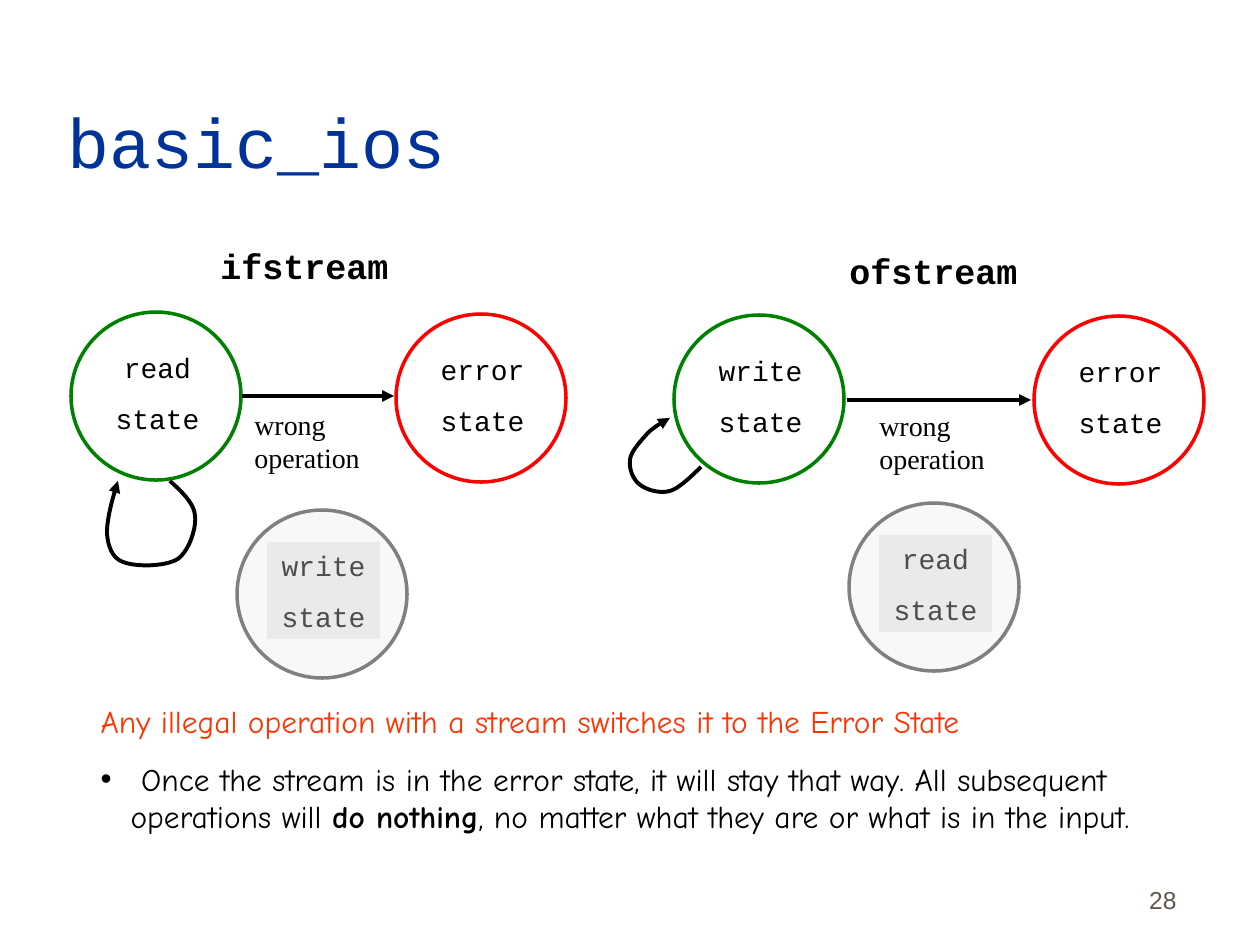
import lxml.etree
import pptx
import pptx.dml.color
import pptx.enum.shapes
import pptx.enum.text
import pptx.oxml.ns
import pptx.util

SCALE = 914400 / 126  # EMU in one px
COLORS = {
    "title": "003399", "ink": "000000", "good": "008000", "bad": "FF0000",
    "muted": "808080", "shade": "EAEAEA", "warning": "FF3300", "number": "5E574E",
}
CODE, LABEL, BODY, NUMBER = "Courier New", "Times New Roman", "Comic Neue", "Arial"
CIRCLE_WIDTH, CIRCLE_HEIGHT = 170, 168
LEFT = pptx.enum.text.PP_ALIGN.LEFT
CENTER = pptx.enum.text.PP_ALIGN.CENTER
RIGHT = pptx.enum.text.PP_ALIGN.RIGHT
TOP = pptx.enum.text.MSO_ANCHOR.TOP
BOTTOM = pptx.enum.text.MSO_ANCHOR.BOTTOM


def px(*values):
    return [pptx.util.Emu(round(value * SCALE)) for value in values]


def color(name):
    return pptx.dml.color.RGBColor.from_string(COLORS[name])


def add_element(parent, tag, **attributes):
    return lxml.etree.SubElement(parent, pptx.oxml.ns.qn(tag), attributes)


def format_font(font, face, size, ink, bold=False):
    font.name, font.size, font.bold = face, pptx.util.Pt(size), bold
    font.color.rgb = color(ink)


def write(shape, lines, face, size, ink="ink", align=LEFT, anchor=TOP, bold=False, gap=0):
    """Fill a shape with one paragraph per line."""
    frame = shape.text_frame
    frame.word_wrap, frame.vertical_anchor = True, anchor
    frame.auto_size = pptx.enum.text.MSO_AUTO_SIZE.NONE
    frame.text = "\n".join(lines)
    for index, para in enumerate(frame.paragraphs):
        para.alignment = align
        para.space_before = pptx.util.Pt(gap if index else 0)
        for span in para.runs:
            format_font(span.font, face, size, ink, bold)


def add_text(page, place, lines, *style, **options):
    box = page.shapes.add_textbox(*px(*place))
    write(box, lines, *style, **options)


def add_state(page, left, top, name, outline, shaded=False):
    """A circle around two centred words; a shaded one is out of use."""
    rectangle = pptx.enum.shapes.MSO_SHAPE.RECTANGLE
    label = page.shapes.add_shape(rectangle, *px(left + 30, top + 32, 113, 97))
    label.shadow.inherit = False
    label.line.fill.background()
    label.fill.background()
    write(label, [name, "state"], CODE, 16, align=CENTER, gap=10)

    oval = pptx.enum.shapes.MSO_SHAPE.OVAL
    circle = page.shapes.add_shape(oval, *px(left, top, CIRCLE_WIDTH, CIRCLE_HEIGHT))
    circle.shadow.inherit = False
    circle.line.color.rgb = color(outline)
    circle.line.width = pptx.util.Pt(2)
    circle.fill.background()

    if shaded:
        for shape in (label, circle):
            shape.fill.solid()
            shape.fill.fore_color.rgb = color("shade")
        shade = circle.fill._xPr.find(".//" + pptx.oxml.ns.qn("a:srgbClr"))
        add_element(shade, "a:alpha", val="33000")


def format_arrow(line):
    line.color.rgb = color("ink")
    line.width = pptx.util.Pt(2.25)
    add_element(line._get_or_add_ln(), "a:tailEnd", type="triangle")


def add_arrow(page, start, end, y):
    straight = pptx.enum.shapes.MSO_CONNECTOR.STRAIGHT
    arrow = page.shapes.add_connector(straight, *px(start, y, end, y))
    format_arrow(arrow.line)
    add_element(arrow._element.spPr, "a:effectLst")


def curve_points(knots, steps=10):
    """Points along joined cubic curves, three knots for each after the first."""
    points = []
    for first in range(0, len(knots) - 1, 3):
        a, b, c, d = knots[first:first + 4]
        for step in range(1, steps + 1):
            t = step / steps
            u = 1 - t
            weights = u ** 3, 3 * u * u * t, 3 * u * t * t, t ** 3
            points.append(tuple(
                sum(w * knot[axis] for w, knot in zip(weights, (a, b, c, d)))
                for axis in (0, 1)))
    return points


def add_loop(page, knots):
    builder = page.shapes.build_freeform(*px(*knots[0]), scale=1.0)
    builder.add_line_segments([px(*point) for point in curve_points(knots)], close=False)
    loop = builder.convert_to_shape()
    loop.shadow.inherit = False
    loop.fill.background()
    format_arrow(loop.line)


def place_holder(holder, place):
    holder.left, holder.top, holder.width, holder.height = px(*place)


def fill_body(body):
    """A coloured statement, then one bullet with a bold phrase."""
    place_holder(body, (88, 696, 1060, 146))
    write(body, ["Any illegal operation with a stream switches it to the Error State", ""],
          BODY, 18, "warning")
    statement, bullet = body.text_frame.paragraphs
    properties = statement._p.get_or_add_pPr()
    properties.set("marL", "0")
    properties.set("indent", "0")
    add_element(properties, "a:buNone")

    properties = bullet._p.get_or_add_pPr()
    indent = px(30)[0]
    properties.set("marL", str(indent))
    properties.set("indent", str(-indent))
    add_element(add_element(properties, "a:buClr"), "a:srgbClr", val=COLORS["ink"])
    add_element(properties, "a:buChar", char="•")
    bullet.space_before = pptx.util.Pt(11.2)
    for words, bold in (
        (" Once the stream is in the error state, it will stay that way. "
         "All subsequent operations will ", False),
        ("do nothing", True),
        (", no matter what they are or what is in the input.", False),
    ):
        span = bullet.add_run()
        span.text = words
        format_font(span.font, BODY, 18, "ink", bold)


def main():
    deck = pptx.Presentation()
    deck.slide_width, deck.slide_height = px(1260, 945)
    page = deck.slides.add_slide(deck.slide_layouts[1])

    # Title, closing text and page number
    title = page.shapes.title
    place_holder(title, (55, 32, 1071, 157))
    write(title, ["basic_ios"], CODE, 40, "title", anchor=BOTTOM)
    fill_body(page.placeholders[1])
    add_text(page, (927, 858, 262, 63), ["28"], NUMBER, 14, "number",
             align=RIGHT, anchor=BOTTOM)

    # Stream names and arrow labels
    for left, top, name in ((208, 238, "ifstream"), (837, 243, "ofstream")):
        add_text(page, (left, top, 199, 55), [name], CODE, 20, bold=True)
    for left, top in ((242, 401), (867, 402)):
        add_text(page, (left, top, 150, 81), ["wrong operation"], LABEL, 16)

    # Input stream
    add_state(page, 71, 312, "read", "good")
    add_state(page, 396, 314, "error", "bad")
    add_state(page, 237, 510, "write", "muted", shaded=True)
    add_arrow(page, 242, 394, 396)
    add_loop(page, [
        (170, 481), (181, 491), (194, 503), (195, 515), (197, 528), (189, 551),
        (178, 559), (165, 567), (135, 567), (123, 562), (112, 558), (108, 546),
        (107, 533), (107, 519), (112, 500), (118, 481)])

    # Output stream
    add_state(page, 674, 315, "write", "good")
    add_state(page, 1034, 316, "error", "bad")
    add_state(page, 849, 503, "read", "muted", shaded=True)
    add_arrow(page, 847, 1031, 400)
    add_loop(page, [
        (701, 467), (690, 478), (678, 489), (670, 491), (660, 494), (646, 490),
        (639, 484), (633, 479), (629, 469), (630, 460), (631, 451), (641, 441),
        (648, 433), (654, 427), (663, 422), (670, 418)])

    deck.save("out.pptx")


if __name__ == "__main__":
    main()
